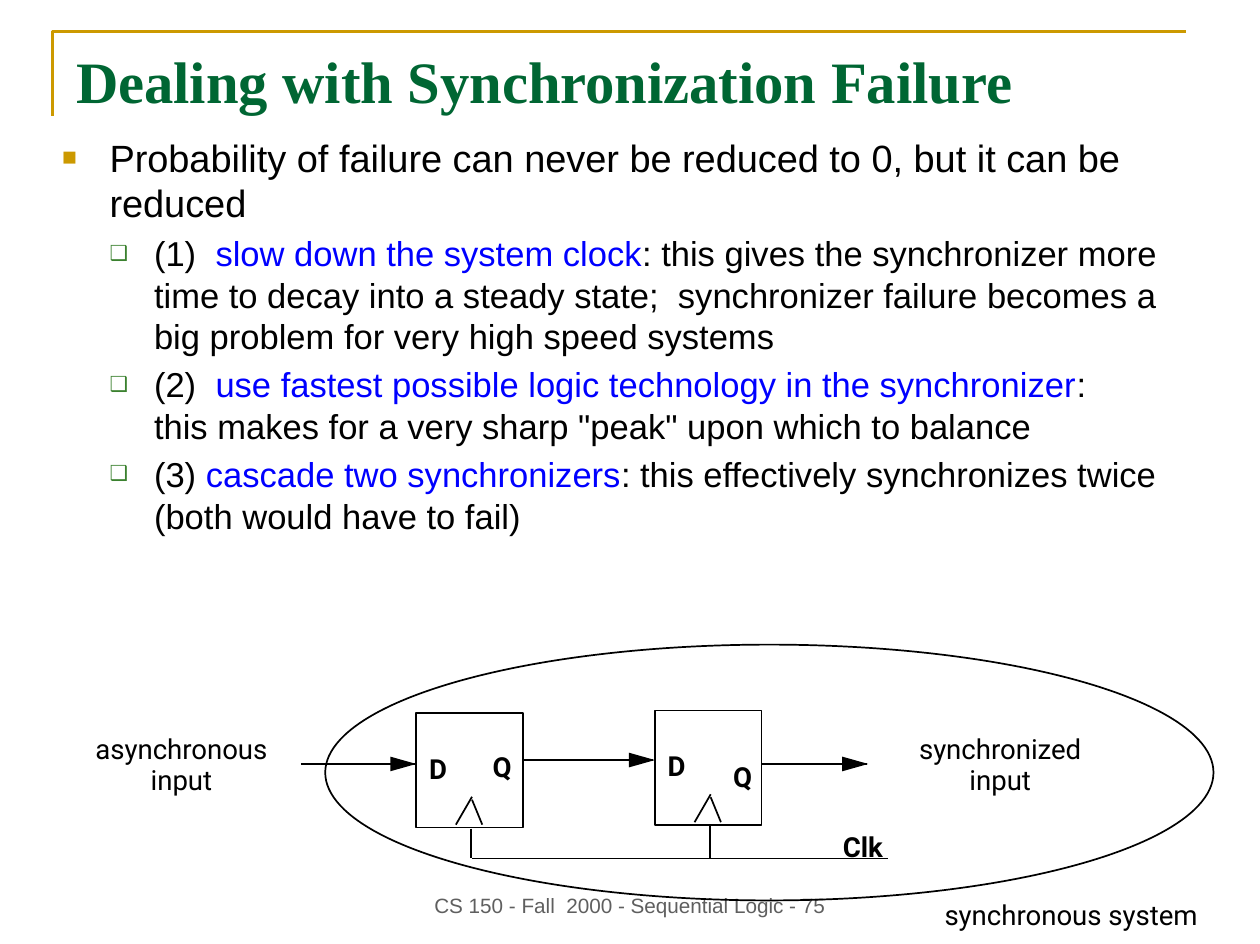
from lxml.etree import SubElement
from pptx import Presentation
from pptx.dml.color import RGBColor
from pptx.enum.shapes import MSO_CONNECTOR, MSO_SHAPE
from pptx.enum.text import MSO_ANCHOR, MSO_AUTO_SIZE, PP_ALIGN
from pptx.oxml.ns import qn
from pptx.util import Cm, Pt

BLACK = RGBColor(0x00, 0x00, 0x00)
BLUE = RGBColor(0x00, 0x00, 0xFF)
GOLD = RGBColor(0xCC, 0x99, 0x00)
DARK_GREEN = RGBColor(0x00, 0x66, 0x33)
BULLET_GREEN = RGBColor(0x3B, 0x81, 0x2F)
GRAY = RGBColor(0x5F, 0x5F, 0x5F)

MAIN_POINT = "Probability of failure can never be reduced to 0, but it can be reduced"
# Number, highlighted remedy, then the lines of its explanation
REMEDIES = [
    ("(1)  ", "slow down the system clock",
     [": this gives the synchronizer more time to decay into a steady state;  "
      "synchronizer failure becomes a big problem for very high speed systems"]),
    ("(2)  ", "use fastest possible logic technology in the synchronizer",
     [":", "this makes for a very sharp \"peak\" upon which to balance"]),
    ("(3) ", "cascade two synchronizers",
     [": this effectively synchronizes twice (both would have to fail)"]),
]


def set_font(font, name, size, color, bold=False):
    font.name, font.size, font.bold = name, Pt(size), bold
    font.color.rgb = color


def add_text_frame(slide, left, top, width, height):
    box = slide.shapes.add_textbox(Cm(left), Cm(top), Cm(width), Cm(height))
    box.text_frame.word_wrap = True
    return box.text_frame


def add_line(slide, x1, y1, x2, y2):
    line = slide.shapes.add_connector(
        MSO_CONNECTOR.STRAIGHT, Cm(x1), Cm(y1), Cm(x2), Cm(y2))
    line.line.color.rgb = BLACK
    line.line.width = Pt(1)
    SubElement(line._element.spPr, qn("a:effectLst"))


def add_outline(slide, kind, left, top, width, height):
    shape = slide.shapes.add_shape(kind, Cm(left), Cm(top), Cm(width), Cm(height))
    shape.shadow.inherit = False
    shape.fill.background()
    shape.line.color.rgb = BLACK
    shape.line.width = Pt(1)


def add_freeform(slide, points, close):
    start, *rest = [(Cm(x), Cm(y)) for x, y in points]
    builder = slide.shapes.build_freeform(*start)
    builder.add_line_segments(rest, close=close)
    shape = builder.convert_to_shape()
    shape.shadow.inherit = False
    return shape


def add_arrow(slide, x1, x2, y):
    """Horizontal line ending in a long, slim solid head at x2."""
    add_line(slide, x1, y, x2 - 0.03, y)
    head = add_freeform(
        slide, [(x2 - 0.53, y - 0.15), (x2, y), (x2 - 0.53, y + 0.15)], True)
    head.fill.solid()
    head.fill.fore_color.rgb = BLACK
    head.line.fill.background()


def add_label(slide, lines, left, top, width, height, spacing, bold=False):
    frame = add_text_frame(slide, left, top, width, height)
    frame.margin_left = frame.margin_right = Cm(0.05)
    frame.margin_top = frame.margin_bottom = Cm(0.08)
    for index, text in enumerate(lines):
        paragraph = frame.add_paragraph() if index else frame.paragraphs[0]
        paragraph.text = text
        paragraph.alignment = PP_ALIGN.CENTER
        paragraph.line_spacing = Pt(spacing)
        set_font(paragraph.font, "Roboto", 16, BLACK, bold)


def format_bullet(paragraph, level, character, color, size, margin, indent):
    paragraph.level = level
    properties = paragraph._p.get_or_add_pPr()
    properties.set("marL", str(Cm(margin)))
    properties.set("indent", str(Cm(-indent)))
    bullet_color = SubElement(properties, qn("a:buClr"))
    SubElement(bullet_color, qn("a:srgbClr"), val=str(color))
    SubElement(properties, qn("a:buSzPct"), val=str(size * 1000))
    SubElement(properties, qn("a:buFont"), typeface="Arial")
    SubElement(properties, qn("a:buChar"), char=character)


def add_header(slide, left, top, width, height):
    frame = add_freeform(
        slide, [(left, top + height), (left, top), (left + width, top)], False)
    frame.fill.background()
    frame.line.color.rgb = GOLD
    frame.line.width = Pt(1.5)

    title = slide.shapes.title
    title.left, title.top = Cm(left + 0.23), Cm(top + 0.15)
    title.width, title.height = Cm(width), Cm(3.2)
    title.text_frame.text = "Dealing with Synchronization Failure"
    title.text_frame.auto_size = MSO_AUTO_SIZE.NONE
    title.text_frame.vertical_anchor = MSO_ANCHOR.TOP
    paragraph = title.text_frame.paragraphs[0]
    paragraph.alignment = PP_ALIGN.LEFT
    set_font(paragraph.font, "Times New Roman", 34, DARK_GREEN, True)


def add_body(slide, left, top, width, height):
    frame = add_text_frame(slide, left, top, width, height)
    paragraph = frame.paragraphs[0]
    paragraph.text = MAIN_POINT
    format_bullet(paragraph, 0, "■", GOLD, 65, 0.97, 0.97)
    set_font(paragraph.font, "Arial", 22, BLACK)
    for number, remedy, explanation in REMEDIES:
        paragraph = frame.add_paragraph()
        format_bullet(paragraph, 1, "❑", BULLET_GREEN, 60, 1.88, 0.91)
        paragraph.space_before = Pt(4)
        set_font(paragraph.font, "Arial", 20, BLACK)
        paragraph.add_run().text = number
        highlight = paragraph.add_run()
        highlight.text = remedy
        highlight.font.color.rgb = BLUE
        for index, text in enumerate(explanation):
            if index:
                paragraph.add_line_break()
            paragraph.add_run().text = text


def add_flip_flop(slide, left, top, clock_y):
    """Box with its D label, clock notch and stub down to the clock line."""
    add_outline(slide, MSO_SHAPE.RECTANGLE, left, top, 2.18, 2.34)
    add_label(slide, ["D"], left, top + 0.64, 0.89, 1.09, 21, True)
    add_line(slide, left + 1.14, top + 1.71, left + 0.81, top + 2.28)
    add_line(slide, left + 1.14, top + 1.77, left + 1.35, top + 2.28)
    add_line(slide, left + 1.12, top + 2.36, left + 1.12, clock_y)


def add_circuit(slide, left, top):
    clock_y = top + 4.37
    for x, y in [(7.24, 1.4), (12.12, 1.35)]:
        add_flip_flop(slide, left + x, top + y, clock_y)
    for x1, x2, y in [(4.88, 7.24, 2.44), (9.45, 12.12, 2.36), (14.3, 16.48, 2.44)]:
        add_arrow(slide, left + x1, left + x2, top + y)
    add_line(slide, left + 8.38, clock_y, left + 16.89, clock_y)
    add_outline(slide, MSO_SHAPE.OVAL, left + 5.38, top, 18.16, 5.23)
    for lines, x, y, width, height, spacing, bold in [
        (["Q"], 8.51, 2.01, 0.97, 1.09, 21, True),
        (["Q"], 12.52, 1.68, 2.79, 1.63, 36, True),
        (["Clk"], 15.24, 3.12, 2.26, 1.7, 36, True),
        (["asynchronous", "input"], 0, 1.75, 4.88, 1.63, 18, False),
        (["synchronized", "input"], 16.87, 1.75, 4.62, 1.63, 18, False),
        (["synchronous system"], 17.15, 5.03, 6.96, 1.09, 21, False),
    ]:
        add_label(slide, lines, left + x, top + y, width, height, spacing, bold)


def add_footer(slide, left, top, width, height):
    frame = add_text_frame(slide, left, top, width, height)
    frame.vertical_anchor = MSO_ANCHOR.BOTTOM
    paragraph = frame.paragraphs[0]
    paragraph.text = "CS 150 - Fall  2000 - Sequential Logic - 75"
    paragraph.alignment = PP_ALIGN.CENTER
    set_font(paragraph.font, "Arial", 12, GRAY)


def main():
    presentation = Presentation()
    presentation.slide_width, presentation.slide_height = Cm(25.76), Cm(19.3)
    slide = presentation.slides.add_slide(presentation.slide_layouts[5])
    add_header(slide, 1.07, 0.64, 23.17, 1.73)
    add_footer(slide, 7.52, 17.58, 10.72, 1.3)
    add_circuit(slide, 1.27, 13.18)
    add_body(slide, 1.02, 2.62, 23.16, 12.75)
    presentation.save("out.pptx")


if __name__ == "__main__":
    main()
